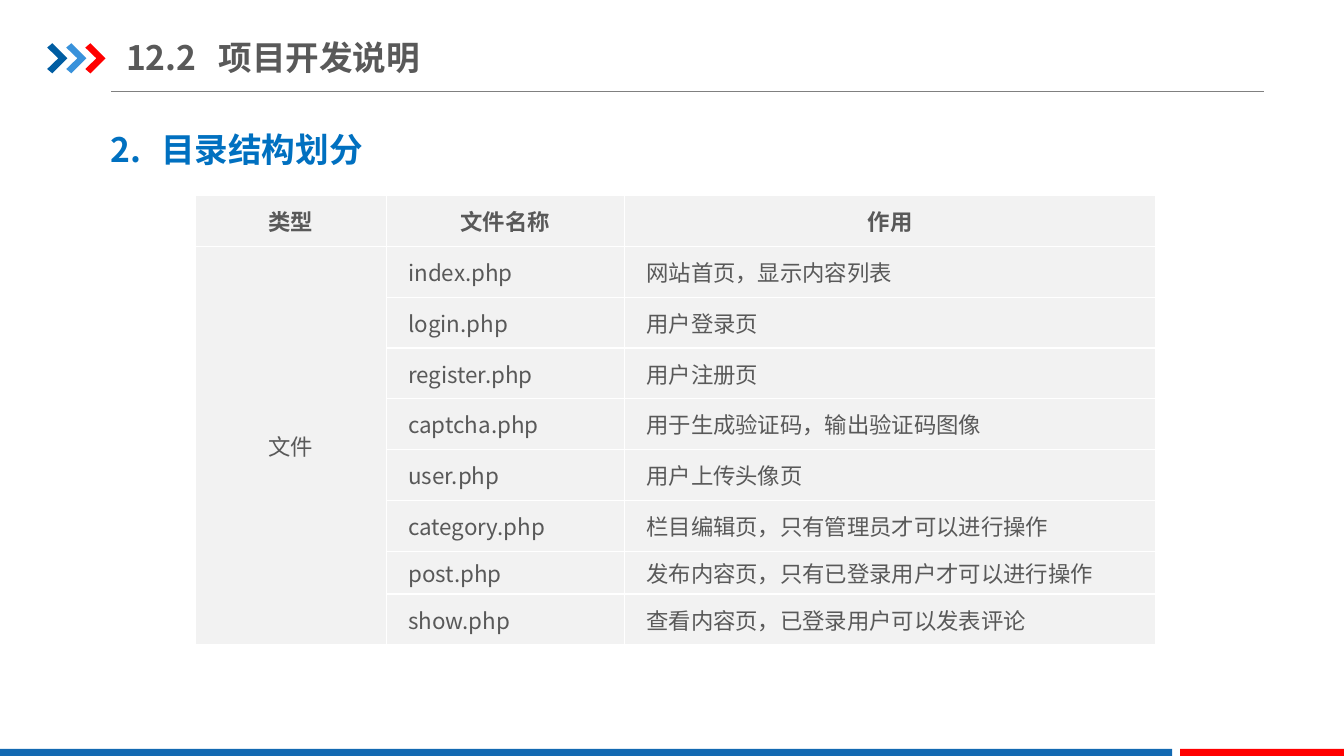
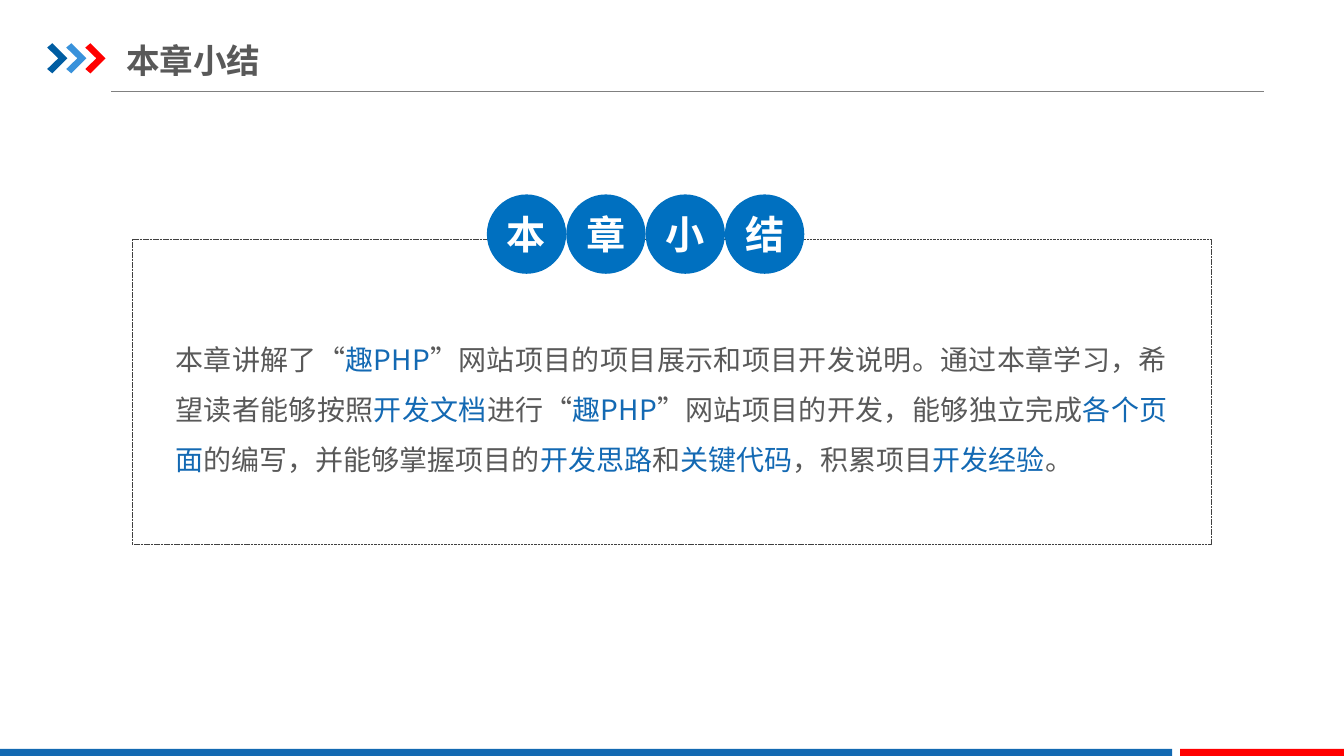
from dataclasses import dataclass
from typing import Optional

from lxml import etree
from pptx import Presentation
from pptx.dml.color import RGBColor
from pptx.enum.dml import MSO_LINE
from pptx.enum.shapes import MSO_CONNECTOR, MSO_SHAPE
from pptx.enum.text import MSO_ANCHOR, PP_ALIGN
from pptx.oxml.ns import qn
from pptx.util import Cm, Pt

RECT, OVAL = MSO_SHAPE.RECTANGLE, MSO_SHAPE.OVAL
STRAIGHT = MSO_CONNECTOR.STRAIGHT
TOP, MIDDLE = MSO_ANCHOR.TOP, MSO_ANCHOR.MIDDLE
LEFT, CENTER, JUSTIFY = PP_ALIGN.LEFT, PP_ALIGN.CENTER, PP_ALIGN.JUSTIFY
SYS_DASH = MSO_LINE.SQUARE_DOT

FONT = "Noto Sans CJK SC"
TEXT, ACCENT, KEYWORD = "595959", "0070C0", "1369B3"
WHITE, CELL, RED = "FFFFFF", "F2F2F2", "FF0000"
RULE, BAND, OUTLINE = "808080", "1369B2", "404040"


@dataclass(frozen=True)
class Box:
    x: float
    y: float
    w: float
    h: float

    def emu(self) -> tuple:
        return Cm(self.x), Cm(self.y), Cm(self.w), Cm(self.h)


@dataclass(frozen=True)
class Style:
    size: float
    color: str = TEXT
    bold: bool = False


@dataclass(frozen=True)
class FileRow:
    name: str
    purpose: str


TITLE = Style(24, bold=True)
HEADING = Style(24, ACCENT, True)
TABLE_HEAD, TABLE_BODY = Style(16, bold=True), Style(16)
BODY, BODY_KEY = Style(20), Style(20, KEYWORD)
BADGE = Style(28, WHITE, True)

CHEVRON = [(0, 0.11), (0.13, 0), (0.51, 0.38), (0.13, 0.76), (0, 0.65), (0.28, 0.38)]
CHEVRON_X, CHEVRON_Y, CHEVRON_STEP = 1.19, 1.09, 0.48
CHEVRON_COLORS = ["005DA2", "3992DB", RED]

BANDS = [(Box(0, 18.87, 29.54, 0.18), BAND), (Box(29.74, 18.87, 4.13, 0.18), RED)]

HEADERS = ["类型", "文件名称", "作用"]
COL_WIDTHS = [4.8, 6.0, 13.4]
ROW_HEIGHT, SHORT_ROW_HEIGHT = 1.28, 1.08
FILES = [
    FileRow("index.php", "网站首页，显示内容列表"),
    FileRow("login.php", "用户登录页"),
    FileRow("register.php", "用户注册页"),
    FileRow("captcha.php", "用于生成验证码，输出验证码图像"),
    FileRow("user.php", "用户上传头像页"),
    FileRow("category.php", "栏目编辑页，只有管理员才可以进行操作"),
    FileRow("post.php", "发布内容页，只有已登录用户才可以进行操作"),
    FileRow("show.php", "查看内容页，已登录用户可以发表评论"),
]

SUMMARY = [
    ("本章讲解了“", BODY),
    ("趣PHP", BODY_KEY),
    ("”网站项目的项目展示和项目开发说明。通过本章学习，希望读者能够按照", BODY),
    ("开发文档", BODY_KEY),
    ("进行“", BODY),
    ("趣PHP", BODY_KEY),
    ("”网站项目的开发，能够独立完成", BODY),
    ("各个页面", BODY_KEY),
    ("的编写，并能够掌握项目的", BODY),
    ("开发思路", BODY_KEY),
    ("和", BODY),
    ("关键代码", BODY_KEY),
    ("，积累项目", BODY),
    ("开发经验", BODY_KEY),
    ("。", BODY),
]


def rgb(color: str) -> RGBColor:
    return RGBColor.from_string(color)


def paint(target, color: str) -> None:
    target.fill.solid()
    target.fill.fore_color.rgb = rgb(color)


def add_run(p, text: str, style: Style) -> None:
    r = p.add_run()
    r.text = text
    r.font.size, r.font.bold, r.font.name = Pt(style.size), style.bold, FONT
    r.font.color.rgb = rgb(style.color)
    r_pr = r._r.get_or_add_rPr()
    r_pr.set("lang", "zh-CN")
    etree.SubElement(r_pr, qn("a:ea"), typeface=FONT)


def set_tab(p, pos: float) -> None:
    tabs = etree.SubElement(p._p.get_or_add_pPr(), qn("a:tabLst"))
    etree.SubElement(tabs, qn("a:tab"), pos=str(Cm(pos)), algn="l")


def set_insets(target, x: float, y: float) -> None:
    target.margin_left = target.margin_right = Cm(x)
    target.margin_top = target.margin_bottom = Cm(y)


def add_text(s, box: Box, runs: list, insets: tuple[float, float], anchor=TOP,
             align=LEFT, spacing: Optional[float] = None, tab: Optional[float] = None) -> None:
    tf = s.shapes.add_textbox(*box.emu()).text_frame
    tf.word_wrap, tf.vertical_anchor = True, anchor
    set_insets(tf, *insets)
    p = tf.paragraphs[0]
    p.alignment = align
    if spacing:
        p.line_spacing = spacing
    if tab:
        set_tab(p, tab)
    for text, style in runs:
        add_run(p, text, style)


def add_shape(s, kind, box: Box, fill: Optional[str] = None):
    sp = s.shapes.add_shape(kind, *box.emu())
    sp.shadow.inherit = False
    sp.line.fill.background()
    if fill:
        paint(sp, fill)
    else:
        sp.fill.background()
    return sp


def add_chevrons(s) -> None:
    group = s.shapes.add_group_shape()
    for i, color in enumerate(CHEVRON_COLORS):
        left = CHEVRON_X + i * CHEVRON_STEP
        points = [(Cm(left + x), Cm(CHEVRON_Y + y)) for x, y in CHEVRON]
        outline = group.shapes.build_freeform(*points[0])
        outline.add_line_segments(points[1:], close=True)
        sp = outline.convert_to_shape()
        sp.shadow.inherit = False
        sp.line.fill.background()
        paint(sp, color)


def add_base_slide(prs, title: str, title_box: Box, tab: Optional[float] = None):
    s = prs.slides.add_slide(prs.slide_layouts[6])
    rule = s.shapes.add_connector(STRAIGHT, Cm(2.8), Cm(2.31), Cm(31.85), Cm(2.31))
    rule.line.color.rgb, rule.line.width = rgb(RULE), Pt(0.75)
    etree.SubElement(rule._element.spPr, qn("a:effectLst"))
    add_chevrons(s)
    for box, color in BANDS:
        add_shape(s, RECT, box, color)
    add_text(s, title_box, [(title, TITLE)], (0, 0.18), MIDDLE, tab=tab)
    return s


def set_borders(cell) -> None:
    tc_pr = cell._tc.get_or_add_tcPr()
    for i, side in enumerate(("lnL", "lnR", "lnT", "lnB")):
        ln = etree.Element(qn(f"a:{side}"), w=str(Pt(1)))
        fill = etree.SubElement(ln, qn("a:solidFill"))
        etree.SubElement(fill, qn("a:srgbClr"), val=WHITE)
        tc_pr.insert(i, ln)


def fill_cell(cell, text: str, style: Style, align, indent: float = 0) -> None:
    cell.vertical_anchor = MIDDLE
    set_insets(cell, 0.18, 0)
    p = cell.text_frame.paragraphs[0]
    p.alignment = align
    if indent:
        p._p.get_or_add_pPr().set("marL", str(Cm(indent)))
    add_run(p, text, style)


def add_file_table(s) -> None:
    heights = [ROW_HEIGHT] * (len(FILES) + 1)
    heights[-2] = SHORT_ROW_HEIGHT
    box = Box(4.93, 4.93, sum(COL_WIDTHS), sum(heights))
    table = s.shapes.add_table(len(heights), len(COL_WIDTHS), *box.emu()).table
    for col, width in zip(table.columns, COL_WIDTHS):
        col.width = Cm(width)
    for row, height in zip(table.rows, heights):
        row.height = Cm(height)
    for cell in table.iter_cells():
        paint(cell, CELL)
        set_borders(cell)
    table.cell(1, 0).merge(table.cell(len(FILES), 0))
    for i, header in enumerate(HEADERS):
        fill_cell(table.cell(0, i), header, TABLE_HEAD, CENTER)
    fill_cell(table.cell(1, 0), "文件", TABLE_BODY, CENTER)
    for i, file in enumerate(FILES, 1):
        fill_cell(table.cell(i, 1), file.name, TABLE_BODY, LEFT, 0.38)
        fill_cell(table.cell(i, 2), file.purpose, TABLE_BODY, JUSTIFY, 0.38)


def add_badges(s, word: str, left: float, top: float, size: float) -> None:
    for i, char in enumerate(word):
        sp = add_shape(s, OVAL, Box(left + i * size, top, size, size), ACCENT)
        tf = sp.text_frame
        tf.vertical_anchor = MIDDLE
        set_insets(tf, 0, 0)
        p = tf.paragraphs[0]
        p.alignment = CENTER
        add_run(p, char, BADGE)


def build_directory_slide(prs) -> None:
    s = add_base_slide(prs, "12.2\t项目开发说明", Box(3.18, 0.74, 10.82, 1.4), 2.33)
    add_text(s, Box(2.54, 3.12, 11.13, 1.28), [("2.\t目录结构划分", HEADING)],
             (0.25, 0.13), tab=1.27)
    add_file_table(s)


def build_summary_slide(prs) -> None:
    s = add_base_slide(prs, "本章小结", Box(3.18, 0.91, 13.36, 1.22))
    frame = add_shape(s, RECT, Box(3.33, 6.02, 27.2, 7.7))
    frame.line.color.rgb, frame.line.width = rgb(OUTLINE), Pt(0.25)
    frame.line.dash_style = SYS_DASH
    add_text(s, Box(4.42, 8.2, 25, 3.84), SUMMARY, (0, 0), align=JUSTIFY, spacing=1.5)
    add_badges(s, "本章小结", 12.27, 4.9, 2)


def main() -> None:
    prs = Presentation()
    prs.slide_width, prs.slide_height = Cm(33.87), Cm(19.05)
    build_directory_slide(prs)
    build_summary_slide(prs)
    prs.save("out.pptx")


if __name__ == "__main__":
    main()
